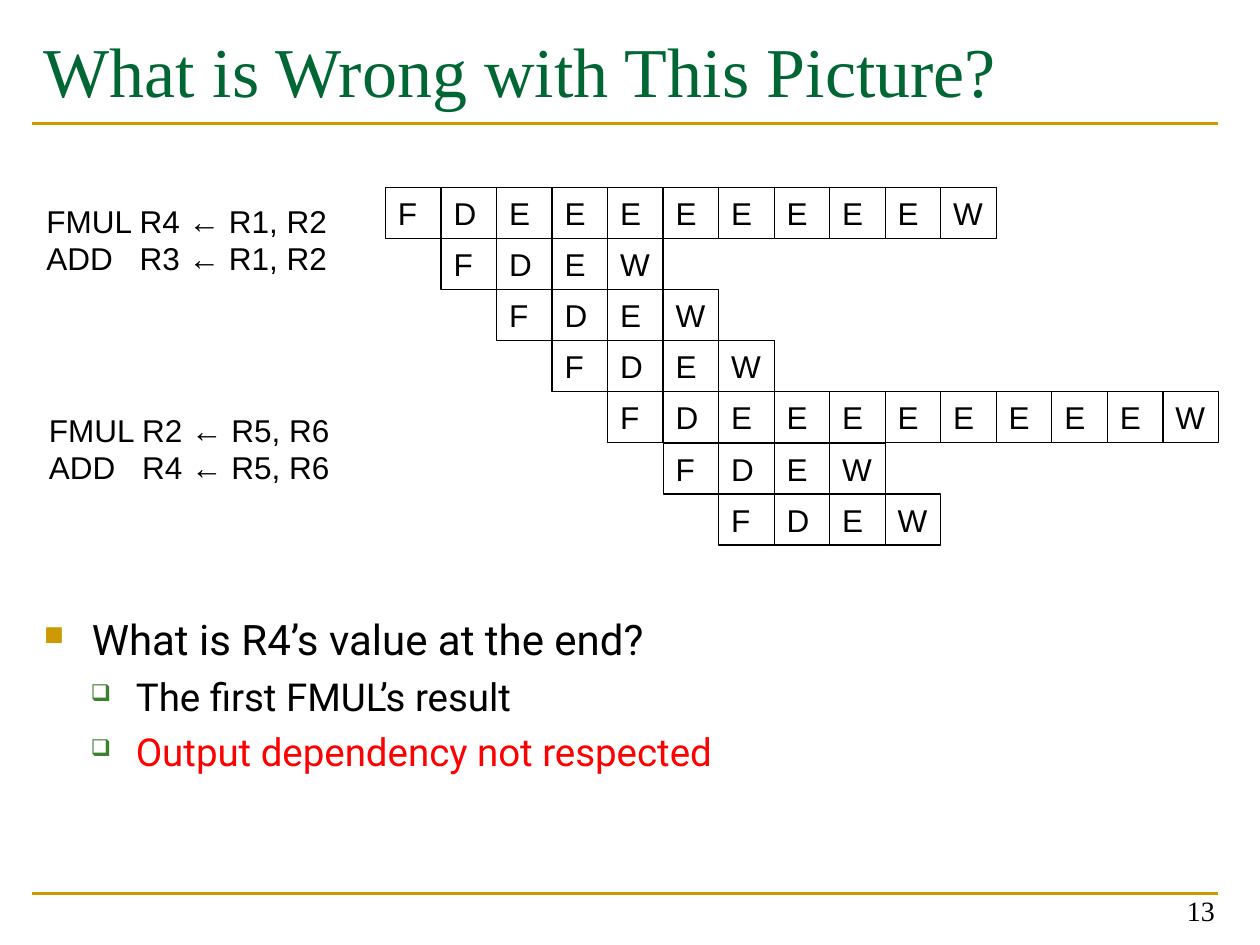
from dataclasses import dataclass

import lxml.etree
import pptx
import pptx.dml.color
import pptx.enum.shapes
import pptx.enum.text
import pptx.oxml.ns
import pptx.util

SLIDE_WIDTH = pptx.util.Inches(10)
SLIDE_HEIGHT = pptx.util.Inches(7.5)
# The page grid has 100 columns and 75 rows of equal size.
UNIT = SLIDE_WIDTH / 100

BLACK, WHITE, GOLD, GREEN, RED = "000000", "FFFFFF", "CC9900", "006633", "FF0000"
BULLET_GREEN = "3B812F"

RULE_LEFT, RULE_RIGHT = 2.5, 96.7
PIPELINE_LEFT, PIPELINE_TOP = 30.6, 14.9
STAGE_WIDTH = (RULE_RIGHT - PIPELINE_LEFT) / 15
STAGE_HEIGHT = 4.05
EXECUTE_CYCLES = [8, 1, 1, 1, 8, 1, 1]
OPERAND_TAB = 7.4


@dataclass(frozen=True)
class Area:
    left: float
    top: float
    width: float
    height: float


@dataclass(frozen=True)
class Style:
    size: float
    font: str
    color: str = BLACK


@dataclass(frozen=True)
class Bullet:
    text: str
    style: Style
    level: int
    mark: str
    mark_color: str
    mark_percent: int
    margin: float
    hanging: float
    space_before: float


CODE = Style(18, "Arial")
LISTINGS = [
    (Area(2.7, 15.5, 24.4, 7.1), ["FMUL R4 ← R1, R2", "ADD\tR3 ← R1, R2"]),
    (Area(2.9, 32.1, 24.5, 7.1), ["FMUL R2 ← R5, R6", "ADD\tR4 ← R5, R6"]),
]
BULLETS = [
    Bullet("What is R4’s value at the end?", Style(24, "Roboto"),
           0, "■", GOLD, 65, 3.8, 3.8, 0),
    Bullet("The first FMUL’s result", Style(22, "Roboto"),
           1, "❑", BULLET_GREEN, 60, 7.3, 3.6, 5),
    Bullet("Output dependency not respected", Style(22, "Roboto", RED),
           1, "❑", BULLET_GREEN, 60, 7.3, 3.6, 5),
]


def grid(units: float) -> int:
    return round(units * UNIT)


def rgb(value: str) -> pptx.dml.color.RGBColor:
    return pptx.dml.color.RGBColor.from_string(value)


def place(area: Area) -> tuple[int, ...]:
    return tuple(grid(units) for units in (area.left, area.top, area.width, area.height))


def add_element(parent, tag: str, **attributes: str):
    element = lxml.etree.SubElement(parent, pptx.oxml.ns.qn(tag))
    for name, value in attributes.items():
        element.set(name, value)
    return element


def format_runs(para, style: Style) -> None:
    for span in para.runs:
        span.font.size = pptx.util.Pt(style.size)
        span.font.name = style.font
        span.font.color.rgb = rgb(style.color)


def add_text(page, area: Area, lines: list[str], style: Style, wrap: bool = True):
    box = page.shapes.add_textbox(*place(area))
    box.text_frame.word_wrap = wrap
    box.text_frame.text = "\n".join(lines)
    for para in box.text_frame.paragraphs:
        format_runs(para, style)
    return box


def add_rule(page, row: float) -> None:
    rule = page.shapes.add_connector(
        pptx.enum.shapes.MSO_CONNECTOR.STRAIGHT,
        grid(RULE_LEFT), grid(row), grid(RULE_RIGHT), grid(row))
    rule.line.color.rgb = rgb(GOLD)
    rule.line.width = pptx.util.Pt(1.5)
    add_element(rule._element.spPr, "a:effectLst")


def add_listing(page, area: Area, lines: list[str]) -> None:
    """Draw instructions whose operands line up at a tab stop."""
    box = add_text(page, area, lines, CODE, wrap=False)
    for para in box.text_frame.paragraphs:
        stops = add_element(para._p.get_or_add_pPr(), "a:tabLst")
        add_element(stops, "a:tab", pos=str(grid(OPERAND_TAB)), algn="l")


def add_stage(page, column: int, row: int, letter: str) -> None:
    area = Area(PIPELINE_LEFT + column * STAGE_WIDTH,
                PIPELINE_TOP + row * STAGE_HEIGHT, STAGE_WIDTH, STAGE_HEIGHT)
    stage = page.shapes.add_shape(
        pptx.enum.shapes.MSO_SHAPE.RECTANGLE, *place(area))
    stage.shadow.inherit = False
    stage.fill.solid()
    stage.fill.fore_color.rgb = rgb(WHITE)
    stage.line.color.rgb = rgb(BLACK)
    stage.line.width = pptx.util.Pt(0.75)
    stage.text_frame.text = letter
    para = stage.text_frame.paragraphs[0]
    para.alignment = pptx.enum.text.PP_ALIGN.LEFT
    format_runs(para, CODE)


def add_pipeline(page) -> None:
    """Draw one instruction per row, each fetched a cycle after the last."""
    for row, cycles in enumerate(EXECUTE_CYCLES):
        for offset, letter in enumerate("FD" + "E" * cycles + "W"):
            add_stage(page, row + offset, row, letter)


def format_bullet(para, bullet: Bullet) -> None:
    para.level = bullet.level
    para.space_before = pptx.util.Pt(bullet.space_before)
    format_runs(para, bullet.style)
    properties = para._p.get_or_add_pPr()
    properties.set("marL", str(grid(bullet.margin)))
    properties.set("indent", str(grid(-bullet.hanging)))
    color = add_element(properties, "a:buClr")
    add_element(color, "a:srgbClr", val=bullet.mark_color)
    add_element(properties, "a:buSzPct", val=str(bullet.mark_percent * 1000))
    add_element(properties, "a:buChar", char=bullet.mark)


def add_bullets(page, area: Area, bullets: list[Bullet]) -> None:
    box = page.shapes.add_textbox(*place(area))
    box.text_frame.word_wrap = True
    box.text_frame.text = "\n".join(bullet.text for bullet in bullets)
    for para, bullet in zip(box.text_frame.paragraphs, bullets):
        format_bullet(para, bullet)


def main() -> None:
    deck = pptx.Presentation()
    deck.slide_width, deck.slide_height = SLIDE_WIDTH, SLIDE_HEIGHT
    page = deck.slides.add_slide(deck.slide_layouts[6])

    for row in (70.9, 9.8):
        add_rule(page, row)
    add_text(page, Area(RULE_LEFT, 1.7, 94.2, 11.7),
             ["What is Wrong with This Picture?"],
             Style(40, "Times New Roman", GREEN))
    add_bullets(page, Area(RULE_LEFT, 48.2, 94.2, 19.3), BULLETS)
    number = add_text(page, Area(74.1, 69.1, 23.3, 5), ["13"],
                      Style(16, "Times New Roman"))
    number.text_frame.vertical_anchor = pptx.enum.text.MSO_ANCHOR.BOTTOM
    number.text_frame.paragraphs[0].alignment = pptx.enum.text.PP_ALIGN.RIGHT

    add_pipeline(page)
    for area, lines in LISTINGS:
        add_listing(page, area, lines)

    deck.save("out.pptx")


if __name__ == "__main__":
    main()
